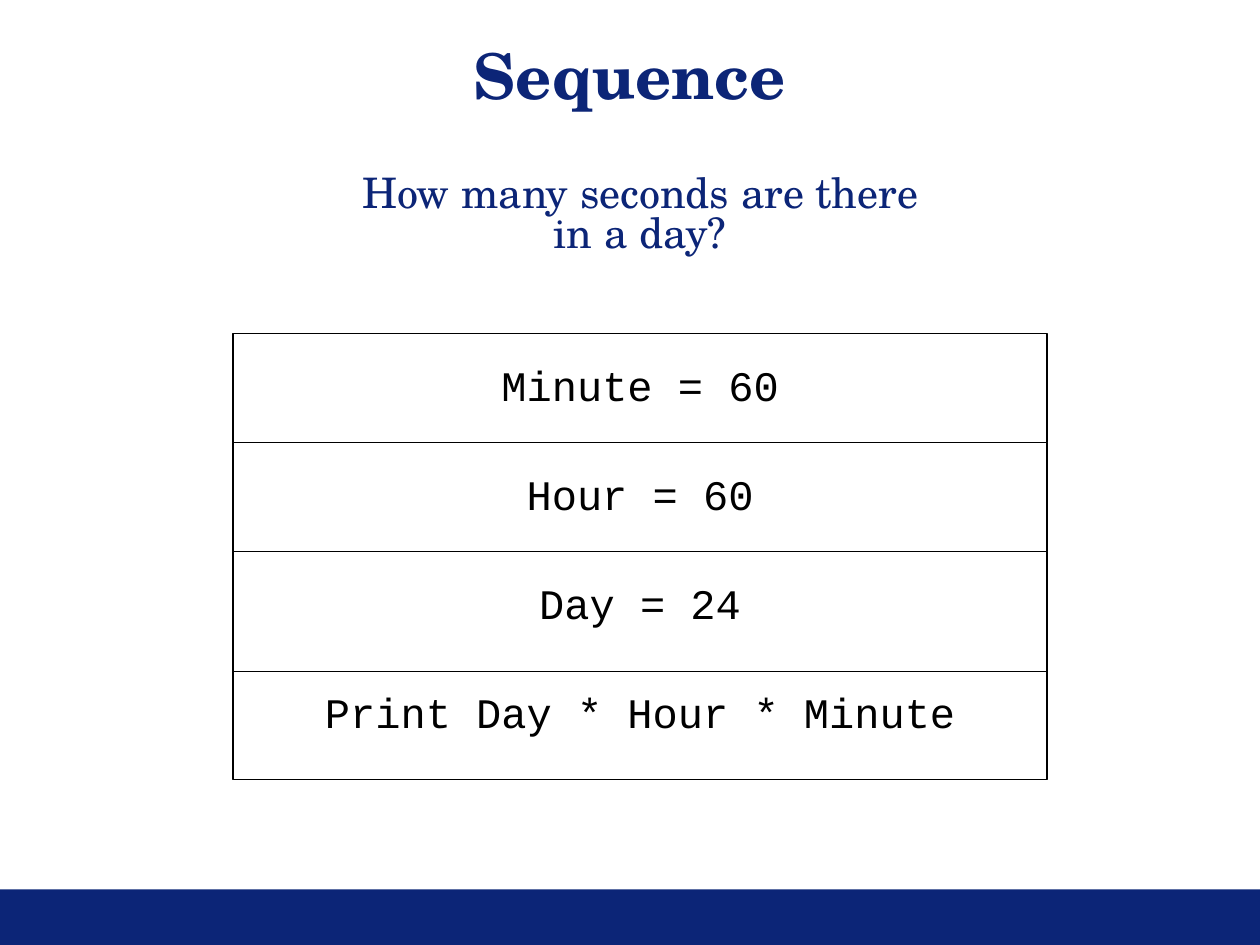
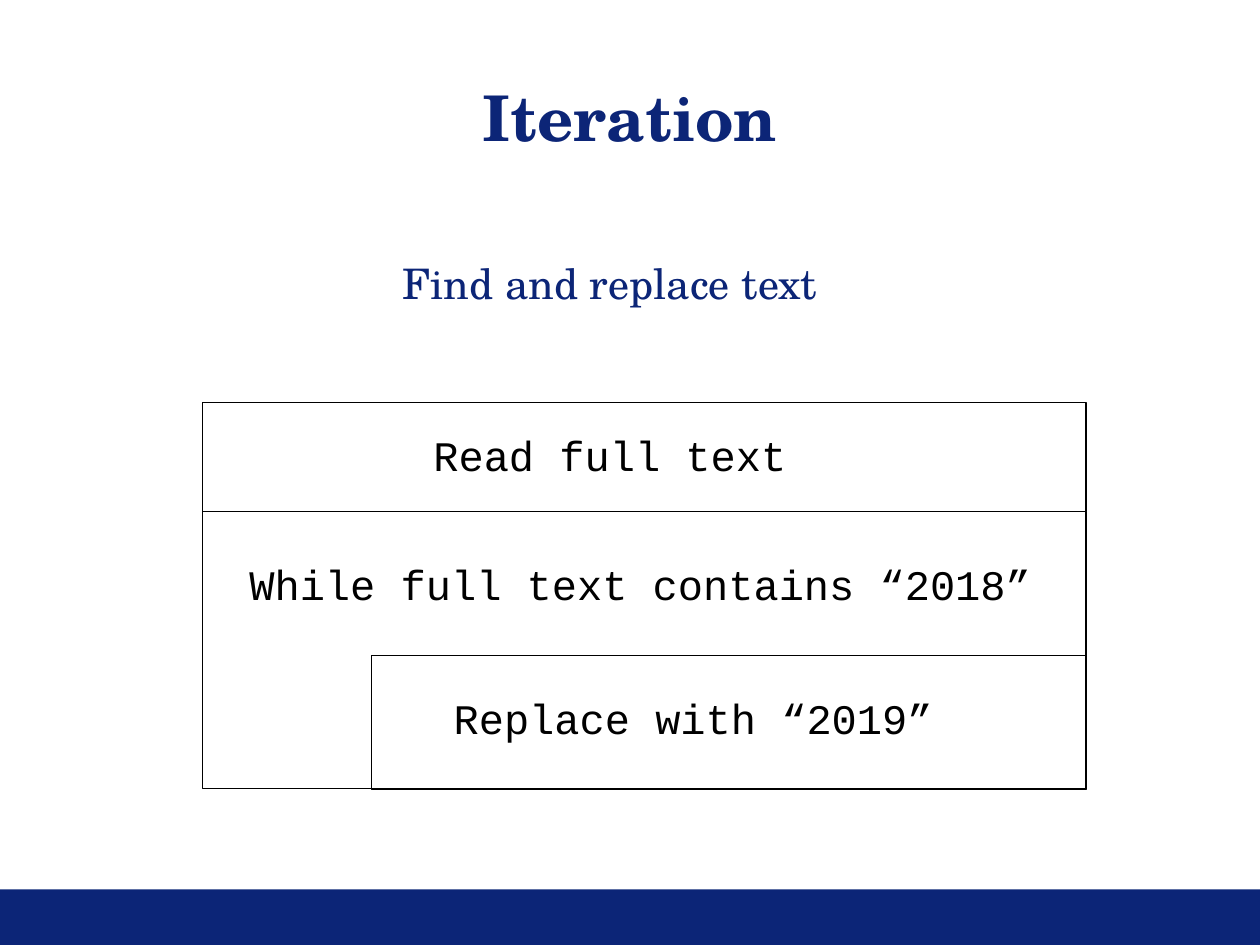
"""Build two slides with structure diagrams for sequence and iteration."""
from lxml import etree
from pptx import Presentation
from pptx import util as u
from pptx.dml.color import RGBColor
from pptx.enum import shapes, text
from pptx.oxml.ns import qn

NAVY = RGBColor(0x0C, 0x25, 0x77)
BLACK = RGBColor(0, 0, 0)
SERIF = "TeX Gyre Schola"
MONO = "Courier New"
LINE_WIDTH = u.Pt(0.75)

presentation = Presentation()
presentation.slide_width = u.Inches(10)
presentation.slide_height = u.Inches(7.5)
PERCENT_X = presentation.slide_width / 100
PERCENT_Y = presentation.slide_height / 100


def add_box(slide, left, top, width, height, fill=None):
    """Draw a filled band or an outlined box, measured in percent of the slide."""
    shape = slide.shapes.add_shape(
        shapes.MSO_SHAPE.RECTANGLE, u.Emu(round(left * PERCENT_X)), u.Emu(round(top * PERCENT_Y)),
        u.Emu(round(width * PERCENT_X)), u.Emu(round(height * PERCENT_Y)))
    shape.shadow.inherit = False
    if fill is None:
        shape.fill.background()
        shape.line.color.rgb = BLACK
        shape.line.width = LINE_WIDTH
    else:
        shape.fill.solid()
        shape.fill.fore_color.rgb = fill
        shape.line.fill.background()


def add_label(slide, words, left, top, width, height, font=MONO, color=BLACK, size=24, bold=False):
    """Write one centred paragraph, measured in percent of the slide."""
    label = slide.shapes.add_textbox(
        u.Emu(round(left * PERCENT_X)), u.Emu(round(top * PERCENT_Y)),
        u.Emu(round(width * PERCENT_X)), u.Emu(round(height * PERCENT_Y)))
    label.text_frame.word_wrap = True
    label.text_frame.auto_size = text.MSO_AUTO_SIZE.SHAPE_TO_FIT_TEXT
    paragraph = label.text_frame.paragraphs[0]
    paragraph.alignment = text.PP_ALIGN.CENTER
    if font == SERIF:
        paragraph.line_spacing = 0.8
    run = paragraph.add_run()
    run.text = words
    run.font.name = font
    run.font.size = u.Pt(size)
    run.font.bold = bold
    run.font.color.rgb = color


slides = []
for title, title_top, question, question_area in (
    ("Sequence", 4.8, "How many seconds are there in a day?", (25.8, 18, 50, 10)),
    ("Iteration", 9.2, "Find and replace text", (23.4, 27.6, 50, 5.6)),
):
    slide = presentation.slides.add_slide(presentation.slide_layouts[6])
    add_box(slide, 0, 94.13, 100, 5.87, NAVY)
    add_label(slide, title, 0, title_top, 100, 7.87, SERIF, NAVY, 36, True)
    add_label(slide, question, *question_area, SERIF, NAVY)
    slides.append(slide)
sequence, iteration = slides

LEFT, WIDTH = 18.5, 64.6
FIRST_ROW, ROW = 35.33, 11.53
LABEL_OFFSET, LABEL_HEIGHT = 2.07, 6.8
DIVIDER = 71.07

for row, height in enumerate((ROW, ROW, 24.13)):
    add_box(sequence, LEFT, FIRST_ROW + row * ROW, WIDTH, height)
for row, step in enumerate(("Minute = 60", "Hour = 60", "Day = 24", "Print Day * Hour * Minute")):
    add_label(sequence, step, LEFT, FIRST_ROW + row * ROW + LABEL_OFFSET, WIDTH, LABEL_HEIGHT)

divider = sequence.shapes.add_connector(
    shapes.MSO_CONNECTOR.STRAIGHT,
    u.Emu(round(LEFT * PERCENT_X)), u.Emu(round(DIVIDER * PERCENT_Y)),
    u.Emu(round((LEFT + WIDTH) * PERCENT_X)), u.Emu(round(DIVIDER * PERCENT_Y)))
divider.line.color.rgb = BLACK
divider.line.width = LINE_WIDTH
etree.SubElement(divider._element.spPr, qn("a:effectLst"))

LOOP_LEFT, LOOP_WIDTH, LOOP_TOP = 16.1, 70.1, 54.13
BODY_INDENT = 13.4

add_box(iteration, LOOP_LEFT, LOOP_TOP, LOOP_WIDTH, 29.33)
add_box(iteration, LOOP_LEFT + BODY_INDENT, 69.33, LOOP_WIDTH - BODY_INDENT, 14.2)
add_box(iteration, LOOP_LEFT, LOOP_TOP - ROW, LOOP_WIDTH, ROW)
for step, left, top, width in (
    ("Read full text", LOOP_LEFT, 44.8, WIDTH),
    ("While full text contains “2018”", LEFT, 58.4, WIDTH),
    ("Replace with “2019”", 29.4, 72.67, 51.2),
):
    add_label(iteration, step, left, top, width, LABEL_HEIGHT)

presentation.save("out.pptx")
